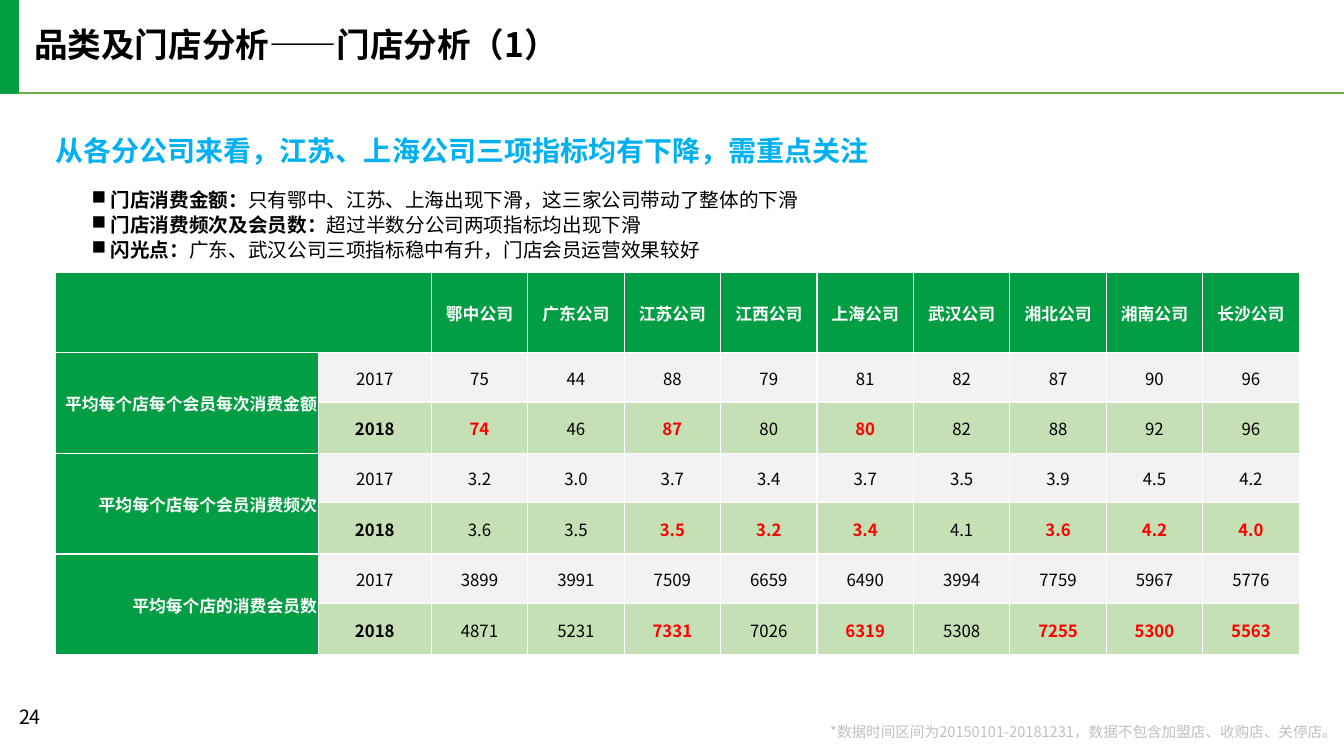
from lxml.etree import SubElement
from pptx import Presentation
from pptx.dml.color import RGBColor
from pptx.enum.shapes import MSO_CONNECTOR, MSO_SHAPE
from pptx.enum.text import MSO_ANCHOR, PP_ALIGN
from pptx.oxml.ns import qn
from pptx.util import Cm, Pt

COLORS = {
    "black": "000000", "white": "FFFFFF", "red": "FF0000", "sky": "00B0F0",
    "bar": "029E42", "rule": "70AD47", "header": "039D43",
    "previous": "F2F2F2", "current": "C5E0B4", "note": "BFBFBF",
}
COMPANIES = ["鄂中公司", "广东公司", "江苏公司", "江西公司", "上海公司",
             "武汉公司", "湘北公司", "湘南公司", "长沙公司"]
METRICS = [
    ("平均每个店每个会员每次消费金额", "{:.0f}",
     [75, 44, 88, 79, 81, 82, 87, 90, 96],
     [74, 46, 87, 80, 80, 82, 88, 92, 96]),
    ("平均每个店每个会员消费频次", "{:.1f}",
     [3.2, 3.0, 3.7, 3.4, 3.7, 3.5, 3.9, 4.5, 4.2],
     [3.6, 3.5, 3.5, 3.2, 3.4, 4.1, 3.6, 4.2, 4.0]),
    ("平均每个店的消费会员数", "{:.0f}",
     [3899, 3991, 7509, 6659, 6490, 3994, 7759, 5967, 5776],
     [4871, 5231, 7331, 7026, 6319, 5308, 7255, 5300, 5563]),
]
FINDINGS = [
    ("门店消费金额：", "只有鄂中、江苏、上海出现下滑，这三家公司带动了整体的下滑"),
    ("门店消费频次及会员数：", "超过半数分公司两项指标均出现下滑"),
    ("闪光点：", "广东、武汉公司三项指标稳中有升，门店会员运营效果较好"),
]


def apply(target, values):
    for name, value in values.items():
        setattr(target, name, value)


def color(name):
    return RGBColor.from_string(COLORS[name])


class SlideBuilder:
    font_name = "Noto Sans CJK SC"
    no_margins = dict.fromkeys(
        ["margin_left", "margin_top", "margin_right", "margin_bottom"], 0)
    cell_format = {"margin_left": Cm(0.03), "margin_top": Cm(0.03),
                   "margin_right": Cm(0.03), "margin_bottom": 0,
                   "vertical_anchor": MSO_ANCHOR.MIDDLE}

    def __init__(self, presentation):
        self.slide = presentation.slides.add_slide(presentation.slide_layouts[6])

    def run(self, paragraph, text, size, color_name="black", bold=False):
        run = paragraph.add_run()
        run.text = text
        apply(run.font, {"name": self.font_name, "size": Pt(size), "bold": bold})
        run.font.color.rgb = color(color_name)
        SubElement(run.font._element, qn("a:ea"), typeface=self.font_name)

    def text(self, box, paragraphs, size, color_name="black",
             frame_format=None, paragraph_format=None, bullet=None):
        shape = self.slide.shapes.add_textbox(*map(Cm, box))
        frame = shape.text_frame
        apply(frame, {"word_wrap": True, **(frame_format or {})})
        for index, runs in enumerate(paragraphs):
            paragraph = frame.add_paragraph() if index else frame.paragraphs[0]
            if bullet:
                self.bullet(paragraph, bullet)
            apply(paragraph, paragraph_format or {})
            for text, bold in runs:
                self.run(paragraph, text, size, color_name, bold)

    def bullet(self, paragraph, character):
        properties = paragraph._p.get_or_add_pPr()
        indent = Cm(0.48)
        properties.set("marL", str(indent))
        properties.set("indent", str(-indent))
        SubElement(properties, qn("a:buChar"), char=character)

    def rectangle(self, box, color_name):
        shape = self.slide.shapes.add_shape(MSO_SHAPE.RECTANGLE, *map(Cm, box))
        shape.shadow.inherit = False
        shape.fill.solid()
        shape.fill.fore_color.rgb = color(color_name)
        shape.line.fill.background()

    def line(self, ends, color_name, width):
        connector = self.slide.shapes.add_connector(
            MSO_CONNECTOR.STRAIGHT, *map(Cm, ends))
        connector.line.color.rgb = color(color_name)
        connector.line.width = Pt(width)
        SubElement(connector._element.spPr, qn("a:effectLst"))

    def cell(self, cell, text, fill, color_name="black", bold=False,
             alignment=PP_ALIGN.CENTER):
        apply(cell, self.cell_format)
        properties = cell._tc.get_or_add_tcPr()
        for side in ("lnL", "lnR", "lnT", "lnB"):
            border = SubElement(properties, qn(f"a:{side}"), w=str(Pt(1)))
            solid = SubElement(border, qn("a:solidFill"))
            SubElement(solid, qn("a:srgbClr"), val=COLORS["white"])
        cell.fill.solid()
        cell.fill.fore_color.rgb = color(fill)
        paragraph = cell.text_frame.paragraphs[0]
        paragraph.alignment = alignment
        if text:
            self.run(paragraph, text, 12, color_name, bold)

    def table(self, left, top, widths, heights):
        table = self.slide.shapes.add_table(
            len(heights), len(widths), Cm(left), Cm(top),
            Cm(sum(widths)), Cm(sum(heights))).table
        for column, width in zip(table.columns, widths):
            column.width = Cm(width)
        for row, height in zip(table.rows, heights):
            row.height = Cm(height)
        return table

    def comparison_table(self):
        table = self.table(1.4, 6.86, [6.62, 2.85] + [2.43] * len(COMPANIES),
                           [2.02] + [1.25, 1.29] * len(METRICS))
        for column, name in enumerate(["", ""] + COMPANIES):
            self.cell(table.cell(0, column), name, "header", "white", True)
        table.cell(0, 0).merge(table.cell(0, 1))
        for index, (label, pattern, previous, current) in enumerate(METRICS):
            top = 1 + 2 * index
            self.cell(table.cell(top, 0), label, "header", "white", True,
                      PP_ALIGN.RIGHT)
            self.cell(table.cell(top + 1, 0), "", "header")
            table.cell(top, 0).merge(table.cell(top + 1, 0))
            self.cell(table.cell(top, 1), "2017", "previous")
            self.cell(table.cell(top + 1, 1), "2018", "current", bold=True)
            for column, (before, after) in enumerate(zip(previous, current), 2):
                fell = after < before
                self.cell(table.cell(top, column), pattern.format(before), "previous")
                self.cell(table.cell(top + 1, column), pattern.format(after),
                          "current", "red" if fell else "black", fell)


def main():
    presentation = Presentation()
    apply(presentation, {"slide_width": Cm(33.87), "slide_height": Cm(19.05)})
    builder = SlideBuilder(presentation)
    flush = builder.no_margins
    middle = {**flush, "vertical_anchor": MSO_ANCHOR.MIDDLE}

    builder.line((0, 2.34, 33.87, 2.34), "rule", 1.5)
    builder.text((0.86, 0.71, 15.98, 0.91), [[("品类及门店分析——门店分析（1）", True)]],
                 24, frame_format=flush, paragraph_format={"line_spacing": 0.9})
    builder.rectangle((0, 0, 0.48, 2.36), "bar")
    builder.text((20.52, 18.26, 13.18, 0.41),
                 [[("*数据时间区间为20150101-20181231，数据不包含加盟店、收购店、关停店。", False)]],
                 10.5, "note", {**flush, "word_wrap": False},
                 {"alignment": PP_ALIGN.RIGHT, "line_spacing": 0.9})
    builder.text((0.23, 17.65, 2.31, 1.02), [[("24", False)]], 14)
    builder.comparison_table()
    builder.text((1.4, 3.56, 30.63, 0.66),
                 [[("从各分公司来看，江苏、上海公司三项指标均有下降，需重点关注", True)]],
                 20, "sky", middle, {"line_spacing": Pt(18)})
    builder.text((2.31, 4.7, 29.46, 1.88),
                 [[(topic, True), (detail, False)] for topic, detail in FINDINGS],
                 14, frame_format=middle, paragraph_format={"line_spacing": Pt(18)},
                 bullet="■")
    presentation.save("out.pptx")


if __name__ == "__main__":
    main()
